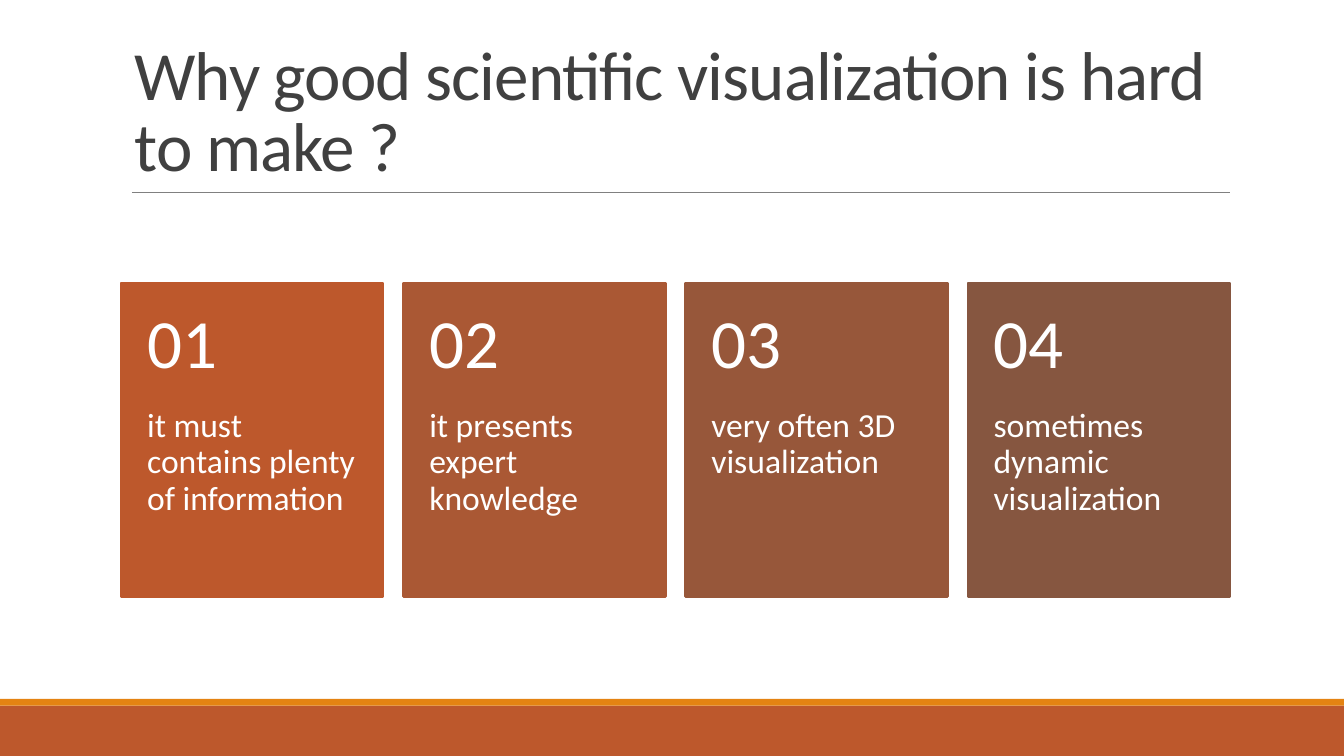
from pptx import Presentation
from pptx.dml.color import RGBColor
from pptx.enum.shapes import MSO_CONNECTOR as Connector, MSO_SHAPE as Shape
from pptx.enum.text import MSO_ANCHOR as Anchor, MSO_AUTO_SIZE as AutoSize, PP_ALIGN as Align
from pptx.oxml.ns import qn
from pptx.util import Cm, Pt

WIDTH, HEIGHT = Cm(25.4), Cm(14.29)
MARGIN = Cm(2.29)
CONTENT_WIDTH = Cm(20.95)
CARD_GAP = Cm(0.38)
NUMBER_SHARE = 0.4
FONT = "Calibri"
RUST, ORANGE, WHITE = "BD582C", "E48312", "FFFFFF"
CARDS = [
    ("it must contains plenty of information", RUST),
    ("it presents expert knowledge", "AA5834"),
    ("very often 3D visualization", "97573A"),
    ("sometimes dynamic visualization", "865640"),
]


def color(hex_value):
    return RGBColor.from_string(hex_value)


def place(shape, left, top, width, height):
    shape.left, shape.top, shape.width, shape.height = left, top, width, height


def write(shape, text, size, hex_value, anchor, line_spacing):
    frame = shape.text_frame
    frame.text = text
    frame.word_wrap = True
    frame.auto_size = AutoSize.NONE
    frame.vertical_anchor = anchor
    paragraph = frame.paragraphs[0]
    paragraph.alignment = Align.LEFT
    paragraph.line_spacing = line_spacing
    run = paragraph.runs[0]
    run.font.name = FONT
    run.font.size = Pt(size)
    run.font.color.rgb = color(hex_value)
    return run


def add_rectangle(shapes, left, top, width, height, fill, line_width=None):
    shape = shapes.add_shape(Shape.RECTANGLE, left, top, width, height)
    shape.shadow.inherit = False
    shape.fill.solid()
    shape.fill.fore_color.rgb = color(fill)
    if line_width is None:
        shape.line.fill.background()
    else:
        shape.line.color.rgb = color(fill)
        shape.line.width = Pt(line_width)


def add_footer(slide, left, top, width, height):
    """Draw a rust band with a thin orange stripe on its upper edge."""
    stripe = Cm(0.13)
    add_rectangle(slide.shapes, left, top + stripe, width, height - stripe, RUST)
    add_rectangle(slide.shapes, left, top, width, stripe, ORANGE)


def add_title(slide, text, left, top, width, height):
    """Fill the title placeholder and rule a line along its lower edge."""
    title = slide.shapes.title
    place(title, left, top, width, height)
    run = write(title, text, 37, "404040", Anchor.BOTTOM, 0.85)
    run.font._element.set("spc", "-50")

    bottom = top + height
    rule = slide.shapes.add_connector(
        Connector.STRAIGHT, left + Cm(0.2), bottom, left + width, bottom)
    rule.line.color.rgb = color("808080")
    rule.line.width = Pt(0.5)
    properties = rule._element.spPr
    properties.append(properties.makeelement(qn("a:effectLst"), {}))


def add_card_text(shapes, text, size, anchor, box, top_inset, bottom_inset):
    shape = shapes.add_textbox(*box)
    write(shape, text, size, WHITE, anchor, 0.9)
    frame = shape.text_frame
    frame.margin_left = frame.margin_right = Cm(0.49)
    frame.margin_top, frame.margin_bottom = top_inset, bottom_inset


def add_card(slide, number, text, fill, left, top, width, height):
    shapes = slide.shapes.add_group_shape().shapes
    number_height = int(height * NUMBER_SHARE)
    add_rectangle(shapes, left, top, width, height, fill, line_width=1.25)
    text_box = (left, top + number_height, width, height - number_height)
    add_card_text(shapes, text, 18, Anchor.TOP, text_box, 0, Cm(0.91))
    number_box = (left, top, width, number_height)
    add_card_text(shapes, f"{number:02}", 37, Anchor.MIDDLE, number_box, Cm(0.46), Cm(0.46))


def add_cards(slide, cards, left, top, width, height):
    """Share the width among equal numbered cards."""
    card_width = (width - CARD_GAP * (len(cards) - 1)) // len(cards)
    for index, (text, fill) in enumerate(cards):
        card_left = left + index * (card_width + CARD_GAP)
        add_card(slide, index + 1, text, fill, card_left, top, card_width, height)


def main():
    presentation = Presentation()
    presentation.slide_width, presentation.slide_height = WIDTH, HEIGHT
    slide = presentation.slides.add_slide(presentation.slide_layouts[5])
    footer_top = Cm(13.21)
    add_footer(slide, 0, footer_top, WIDTH, HEIGHT - footer_top)
    add_title(slide, "Why good scientific visualization is hard to make ?",
              MARGIN, Cm(0.61), CONTENT_WIDTH, Cm(3.02))
    add_cards(slide, CARDS, MARGIN, Cm(5.35), CONTENT_WIDTH, Cm(5.93))
    presentation.save("out.pptx")


if __name__ == "__main__":
    main()
